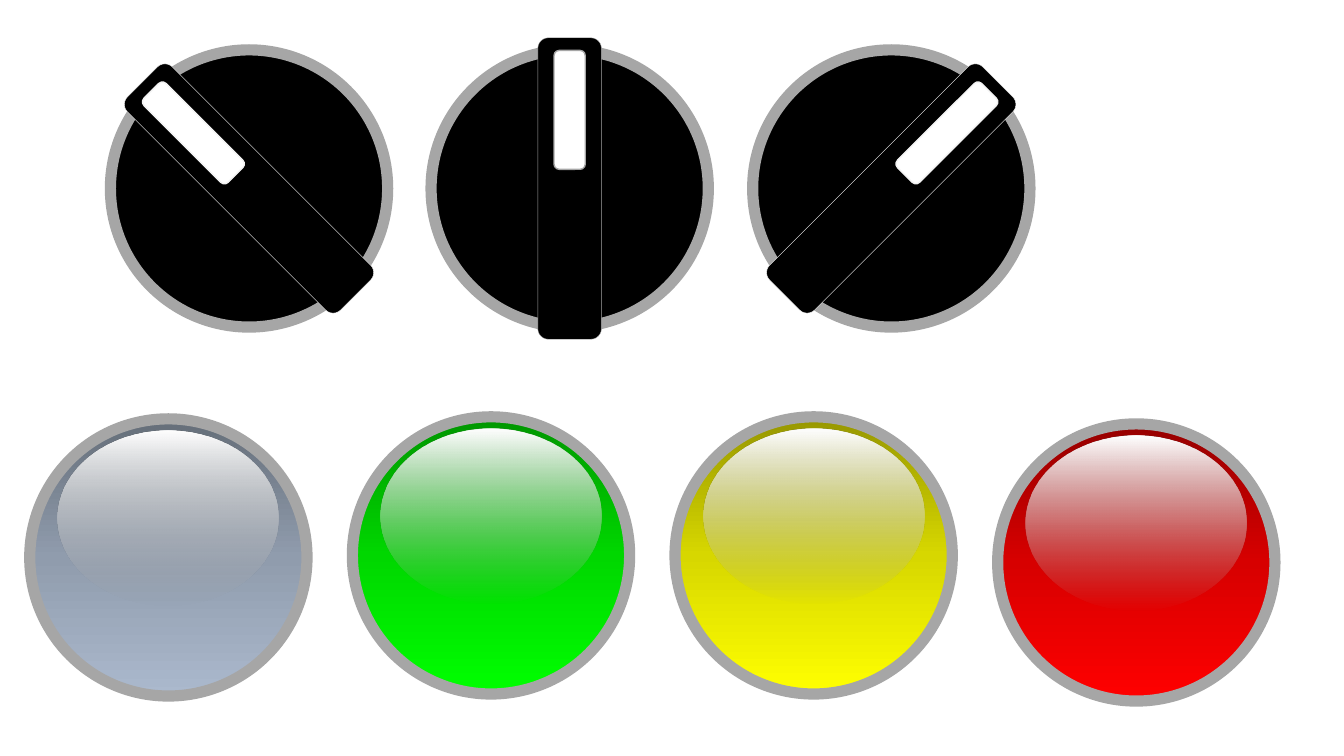
from math import cos, radians, sin

from lxml import etree
from pptx import Presentation
from pptx.dml.color import RGBColor
from pptx.enum.shapes import MSO_SHAPE
from pptx.oxml.ns import qn
from pptx.util import Inches, Pt

OVAL = MSO_SHAPE.OVAL
ROUNDED = MSO_SHAPE.ROUNDED_RECTANGLE

BLACK = RGBColor(0x00, 0x00, 0x00)
WHITE = RGBColor(0xFF, 0xFF, 0xFF)
PALE = RGBColor(0xF2, 0xF2, 0xF2)
GREY = RGBColor(0xA6, 0xA6, 0xA6)

DIAMETER = 2.75
RIM = 8
GLOSS = [(0, "979797", 0), (50, "D7D7D7", 50), (100, "FFFFFF", 100)]


def add_part(group, kind, center, size, color=None, line=None, line_width=0, rotation=0):
    (x, y), (width, height) = center, size
    part = group.shapes.add_shape(
        kind, Inches(x - width / 2), Inches(y - height / 2), Inches(width), Inches(height)
    )
    part.shadow.inherit = False
    part.rotation = rotation
    if color is not None:
        part.fill.solid()
        part.fill.fore_color.rgb = color
    if line is None:
        part.line.fill.background()
    else:
        part.line.color.rgb = line
        part.line.width = Pt(line_width)
    return part


def set_gradient(part, stops, angle):
    part.fill.gradient()
    part.fill.gradient_angle = angle
    stop_list = part._element.spPr.find(".//" + qn("a:gsLst"))
    for stop in list(stop_list):
        stop_list.remove(stop)
    for position, color, opacity in stops:
        stop = etree.SubElement(stop_list, qn("a:gs"), pos=str(position * 1000))
        tint = etree.SubElement(stop, qn("a:srgbClr"), val=color)
        if opacity < 100:
            etree.SubElement(tint, qn("a:alpha"), val=str(opacity * 1000))


deck = Presentation()
deck.slide_width = Inches(13.33)
deck.slide_height = Inches(7.5)
page = deck.slides.add_slide(deck.slide_layouts[6])

knobs = [
    (2.47, -45, WHITE, PALE),
    (5.65, 0, GREY, GREY),
    (8.84, 45, WHITE, PALE),
]
knob_y = 1.87
pointer_distance = 0.78
for x, angle, handle_line, pointer_line in knobs:
    knob = page.shapes.add_group_shape()
    turn = radians(angle)
    pointer_center = (x + pointer_distance * sin(turn), knob_y - pointer_distance * cos(turn))
    add_part(knob, OVAL, (x, knob_y), (DIAMETER, DIAMETER), BLACK, GREY, RIM)
    add_part(knob, ROUNDED, (x, knob_y), (0.63, 2.99), BLACK, handle_line, 0.25, angle)
    add_part(knob, ROUNDED, pointer_center, (0.31, 1.18), WHITE, pointer_line, 1, angle)

lamps = [
    (1.67, 5.53, ("656E79", "909CAD", "ABB9CD")),
    (4.87, 5.51, ("009600", "00D700", "00FF00")),
    (8.07, 5.51, ("979700", "D7D700", "FFFF00")),
    (11.27, 5.58, ("970000", "D70000", "FF0000")),
]
for x, y, colors in lamps:
    lamp = page.shapes.add_group_shape()
    lens = add_part(lamp, OVAL, (x, y), (DIAMETER, DIAMETER), line=GREY, line_width=RIM)
    set_gradient(lens, [(50 * index, color, 100) for index, color in enumerate(colors)], 270)
    shine = add_part(lamp, OVAL, (x, y - 0.39), (2.19, 1.74))
    set_gradient(shine, GLOSS, 90)

deck.save("out.pptx")
